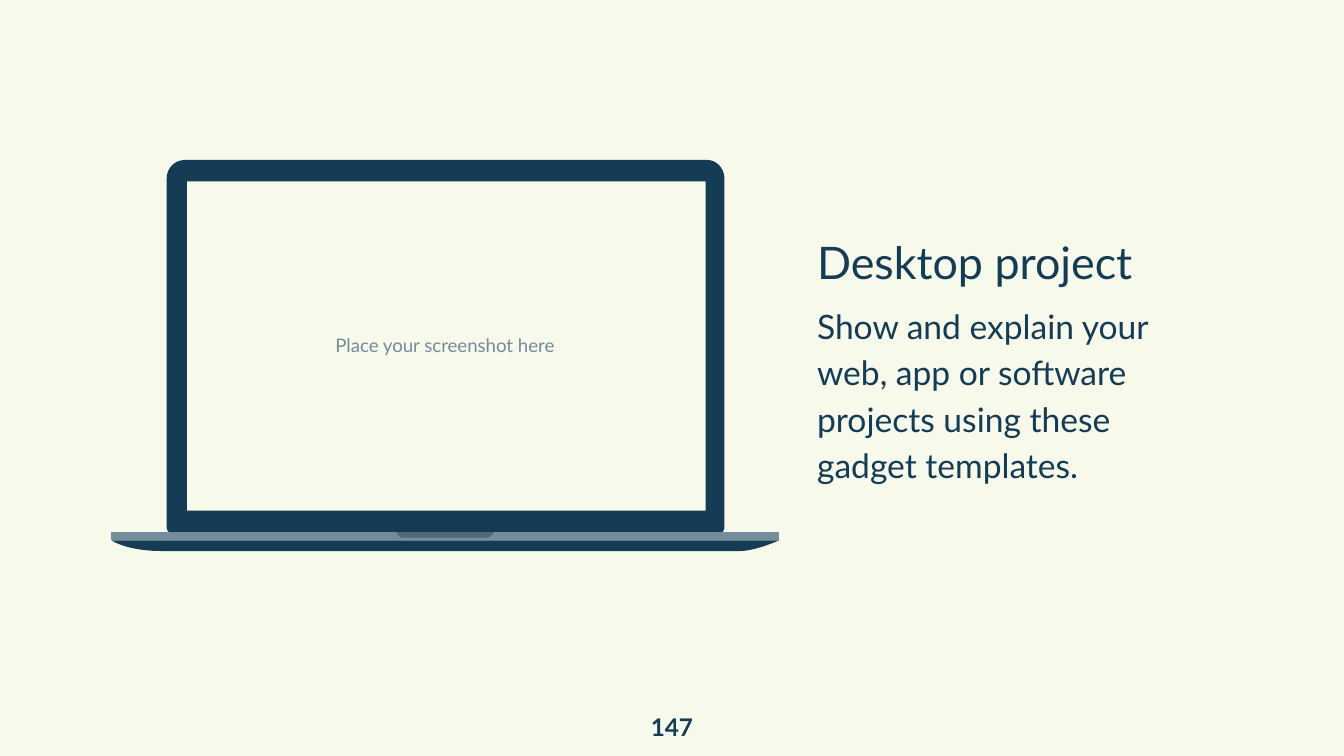
from pptx import Presentation
from pptx.dml.color import RGBColor
from pptx.enum.text import MSO_ANCHOR, PP_ALIGN
from pptx.util import Inches, Pt

NAVY, STEEL, SLATE, CREAM = "143C55", "748C9C", "536877", "F7F9EA"
CURVE_STEPS = 12


def paint(fill, color):
    fill.solid()
    fill.fore_color.rgb = RGBColor.from_string(color)


def trace(start, segments):
    """Return the points of an outline; a segment of three points is a Bézier curve."""
    points = [start]
    for segment in segments:
        if len(segment) == 1:
            points += segment
            continue
        controls = [points[-1], *segment]
        for step in range(1, CURVE_STEPS + 1):
            t = step / CURVE_STEPS
            weights = ((1 - t) ** 3, 3 * t * (1 - t) ** 2, 3 * t * t * (1 - t), t ** 3)
            points.append(tuple(
                sum(weight * control[axis] for weight, control in zip(weights, controls))
                for axis in (0, 1)))
    return points


presentation = Presentation()
presentation.slide_width = Inches(10)
presentation.slide_height = presentation.slide_width * 9 // 16
slide = presentation.slides.add_slide(presentation.slide_layouts[6])
paint(slide.background.fill, CREAM)

# Laptop, in inches
left, right, top, bottom = 1.24, 5.39, 1.19, 3.97
base_left, base_right, base_top, base_middle, base_bottom = 0.83, 5.8, 3.96, 4.02, 4.1
screen_left, screen_right, screen_top, screen_bottom = 1.39, 5.25, 1.35, 3.8
lid = trace((5.26, top), [
    [(1.38, top)],
    [(1.3, top), (left, 1.25), (left, 1.33)],
    [(left, 3.92)],
    [(left, 3.95), (1.26, bottom), (1.29, bottom)],
    [(5.35, bottom)],
    [(5.37, bottom), (right, 3.95), (right, 3.92)],
    [(right, 1.33)],
    [(right, 1.25), (5.33, top), (5.26, top)],
])
screen = [(screen_right, screen_bottom), (screen_left, screen_bottom),
          (screen_left, screen_top), (screen_right, screen_top)]
underside = trace((base_left, base_middle), [
    [(base_left, base_middle), (0.94, base_bottom), (1.2, base_bottom)],
    [(5.51, base_bottom)],
    [(5.62, base_bottom), (base_right, base_middle), (base_right, base_middle)],
])
deck = [(base_left, base_middle), (base_right, base_middle),
        (base_right, base_top), (base_left, base_top)]
notch = trace((2.95, base_top), [
    [(2.95, base_top), (2.97, 4), (2.99, 4)],
    [(3.63, 4)],
    [(3.65, 4), (3.68, base_top), (3.68, base_top)],
])

# Text areas: box, margin, alignment, paragraphs of (text, size, color, bold)
text_areas = [
    ((1.38, 1.34, 3.86, 2.46), 0.1, PP_ALIGN.CENTER,
     [("Place your screenshot here", 10, STEEL, False)]),
    ((4.7, 5.19, 0.6, 0.43), 0, PP_ALIGN.CENTER, [("147", 13, NAVY, True)]),
    ((6.08, 0.8, 2.5, 3.7), 0, PP_ALIGN.LEFT,
     [("Desktop project", 24, NAVY, False),
      ("Show and explain your web, app or software projects using these "
       "gadget templates.", 18, NAVY, False)]),
]

for box, margin, alignment, lines in text_areas:
    frame = slide.shapes.add_textbox(*map(Inches, box)).text_frame
    frame.word_wrap = True
    frame.vertical_anchor = MSO_ANCHOR.MIDDLE
    frame.margin_left = frame.margin_right = Inches(margin)
    frame.margin_top = frame.margin_bottom = Inches(margin)
    for index, (text, size, color, bold) in enumerate(lines):
        paragraph = frame.add_paragraph() if index else frame.paragraphs[0]
        paragraph.text = text
        paragraph.alignment = alignment
        if len(lines) > 1:
            paragraph.line_spacing = 1.15
            paragraph.space_before = Pt(6 if index else 0)
        paragraph.font.name = "Lato"
        paragraph.font.size = Pt(size)
        paragraph.font.bold = bold
        paragraph.font.color.rgb = RGBColor.from_string(color)

for contours, color in (([lid, screen], NAVY), ([underside], NAVY),
                        ([deck], STEEL), ([notch], SLATE)):
    outlines = [[(Inches(x), Inches(y)) for x, y in contour] for contour in contours]
    builder = slide.shapes.build_freeform(*outlines[0][0])
    builder.add_line_segments(outlines[0][1:])
    for hole in outlines[1:]:
        builder.move_to(*hole[0])
        builder.add_line_segments(hole[1:])
    shape = builder.convert_to_shape()
    shape.shadow.inherit = False
    paint(shape.fill, color)
    shape.line.fill.background()

presentation.save("out.pptx")
